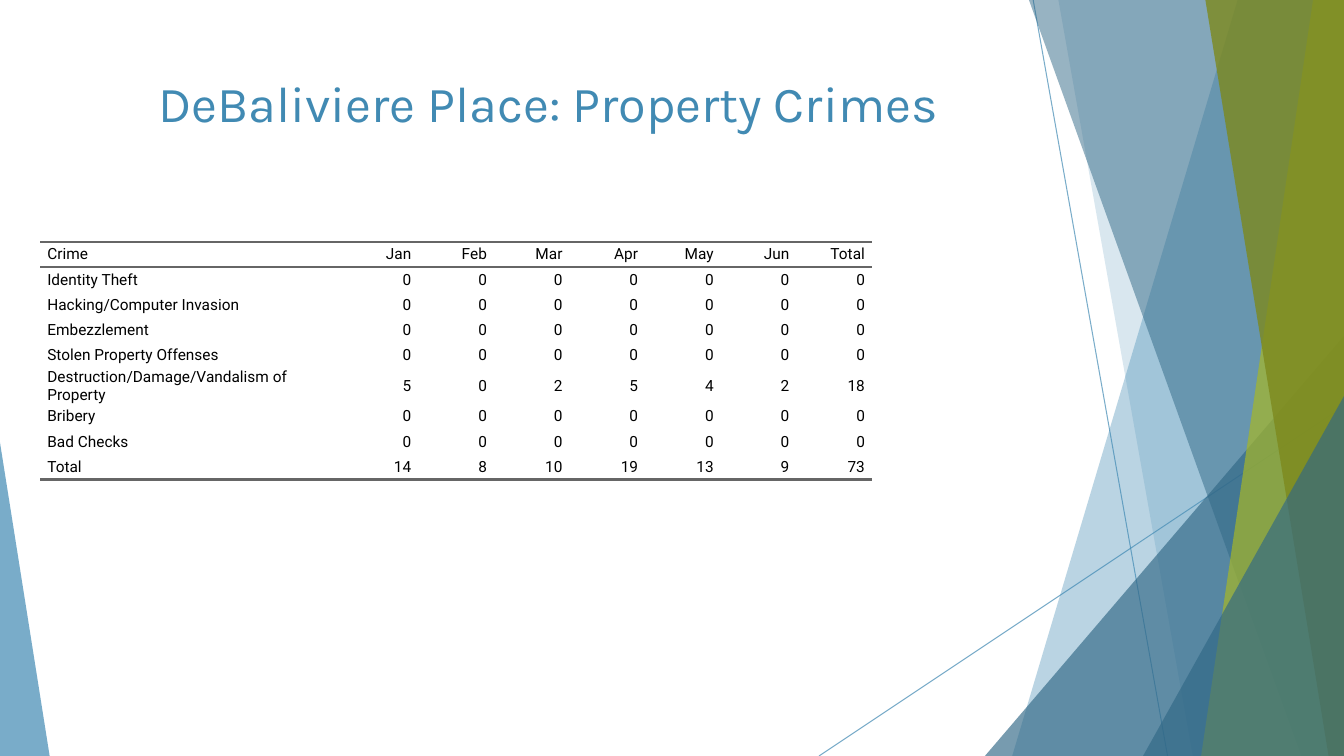
from lxml import etree
from pptx import Presentation
from pptx.dml.color import RGBColor
from pptx.enum import shapes, text
from pptx.oxml import ns
from pptx.util import Pt

BLUE = RGBColor(0x41, 0x8A, 0xB3)
NAVY = RGBColor(0x31, 0x68, 0x86)
LIME = RGBColor(0xA6, 0xB7, 0x27)
OLIVE = RGBColor(0x7D, 0x89, 0x1D)
RULE = RGBColor(0x66, 0x66, 0x66)
BLACK = RGBColor(0, 0, 0)

PAGE_WIDTH, PAGE_HEIGHT = 960, 540
PLAIN_STYLE = "{2D5ABB26-0587-4C30-8999-92F81FD0307C}"

MONTHS = ["Jan", "Feb", "Mar", "Apr", "May", "Jun"]
CRIME_ROWS = [
    ["Crime", *MONTHS, "Total"],
    ["Identity Theft"] + [0] * 7,
    ["Hacking/Computer Invasion"] + [0] * 7,
    ["Embezzlement"] + [0] * 7,
    ["Stolen Property Offenses"] + [0] * 7,
    ["Destruction/Damage/Vandalism of Property", 5, 0, 2, 5, 4, 2, 18],
    ["Bribery"] + [0] * 7,
    ["Bad Checks"] + [0] * 7,
    ["Total", 14, 8, 10, 19, 13, 9, 73],
]

# Facets from back to front: kind, colour, opacity in percent, and
# (top inset, bottom inset) from the right edge or (width, height)
FACETS = [
    ("band", BLUE, 36, (76, 237)),
    ("band", BLUE, 20, (204, 108)),
    ("corner", NAVY, 66, (256.5, 300)),
    ("band", NAVY, 50, (225, 30.5)),
    ("band", LIME, 70, (22, 102)),
    ("band", OLIVE, 80, (99, 11)),
    ("corner", NAVY, 66, (143.5, 257)),
]


def set_opacity(part, percent):
    for colour in part._element.spPr.iter(ns.qn("a:srgbClr")):
        etree.SubElement(colour, ns.qn("a:alpha")).set("val", str(percent * 1000))


def paint(shape, colour, opacity):
    shape.shadow.inherit = False
    shape.fill.solid()
    shape.fill.fore_color.rgb = colour
    shape.line.fill.background()
    set_opacity(shape, opacity)


def add_corner(page, left, top, width, height, apex, colour, opacity):
    corner = page.shapes.add_shape(
        shapes.MSO_SHAPE.ISOSCELES_TRIANGLE,
        Pt(left), Pt(top), Pt(width), Pt(height))
    corner.adjustments[0] = apex
    paint(corner, colour, opacity)


def add_hairline(page, x1, y1, x2, y2):
    hairline = page.shapes.add_connector(
        shapes.MSO_CONNECTOR.STRAIGHT, Pt(x1), Pt(y1), Pt(x2), Pt(y2))
    hairline.line.color.rgb = BLUE
    hairline.line.width = Pt(0.75)
    set_opacity(hairline, 70)
    etree.SubElement(hairline._element.spPr, ns.qn("a:effectLst"))


def write(frame, words, *, font, size, colour, align):
    frame.word_wrap = True
    para = frame.paragraphs[0]
    para.alignment = align
    span = para.add_run()
    span.text = str(words)
    span.font.name = font
    span.font.size = Pt(size)
    span.font.color.rgb = colour


def add_backdrop(page, left, top, width, height):
    right, bottom = left + width, top + height
    # Crossing hairlines
    add_hairline(page, right - 222, top, right - 126, bottom)
    add_hairline(page, right, top + 290, right - 375, bottom)
    # Overlapping facets on the right
    for kind, colour, opacity, (first, second) in FACETS:
        if kind == "corner":
            add_corner(page, right - first, bottom - second, first, second,
                       1, colour, opacity)
            continue
        builder = page.shapes.build_freeform(Pt(right - first), Pt(top))
        builder.add_line_segments([
            (Pt(right), Pt(top)), (Pt(right), Pt(bottom)),
            (Pt(right - second), Pt(bottom))], close=True)
        paint(builder.convert_to_shape(), colour, opacity)
    # Sliver on the left
    add_corner(page, left, bottom - 224, 35.5, 224, 0, BLUE, 70)


def add_rule(cell, side):
    edge = etree.SubElement(cell._tc.get_or_add_tcPr(), ns.qn(f"a:{side}"))
    edge.set("w", str(Pt(2)))
    fill = etree.SubElement(edge, ns.qn("a:solidFill"))
    etree.SubElement(fill, ns.qn("a:srgbClr")).set("val", str(RULE))


def add_crime_table(page, left, top, name_width, value_width, row_height):
    row_count, column_count = len(CRIME_ROWS), len(CRIME_ROWS[0])
    table = page.shapes.add_table(
        row_count, column_count, Pt(left), Pt(top),
        Pt(name_width + value_width * (column_count - 1)),
        Pt(row_height * row_count)).table
    table.first_row = table.horz_banding = False
    table._tbl.tblPr.find(ns.qn("a:tableStyleId")).text = PLAIN_STYLE
    for index, column in enumerate(table.columns):
        column.width = Pt(value_width if index else name_width)
    for row_index, values in enumerate(CRIME_ROWS):
        table.rows[row_index].height = Pt(row_height)
        for column_index, value in enumerate(values):
            cell = table.cell(row_index, column_index)
            cell.margin_left = cell.margin_right = Pt(5)
            cell.margin_top = cell.margin_bottom = 0
            cell.vertical_anchor = text.MSO_ANCHOR.MIDDLE
            # Rules around the header and under the totals
            if row_index == 0:
                add_rule(cell, "lnT")
            if row_index in (0, row_count - 1):
                add_rule(cell, "lnB")
            cell.fill.background()
            write(cell.text_frame, value, font="Roboto", size=11, colour=BLACK,
                  align=text.PP_ALIGN.RIGHT if column_index else text.PP_ALIGN.LEFT)


def add_title(page, left, top, width, height):
    box = page.shapes.add_textbox(Pt(left), Pt(top), Pt(width), Pt(height))
    write(box.text_frame, "DeBaliviere Place: Property Crimes", font="Karla",
          size=36, colour=BLUE, align=text.PP_ALIGN.CENTER)


def main():
    deck = Presentation()
    deck.slide_width, deck.slide_height = Pt(PAGE_WIDTH), Pt(PAGE_HEIGHT)
    page = deck.slides.add_slide(deck.slide_layouts[6])
    add_backdrop(page, 0, 0, PAGE_WIDTH, PAGE_HEIGHT)
    add_crime_table(page, 28.8, 172.8, 216, 54, 18)
    add_title(page, 53, 48, 677, 104)
    deck.save("out.pptx")


if __name__ == "__main__":
    main()
